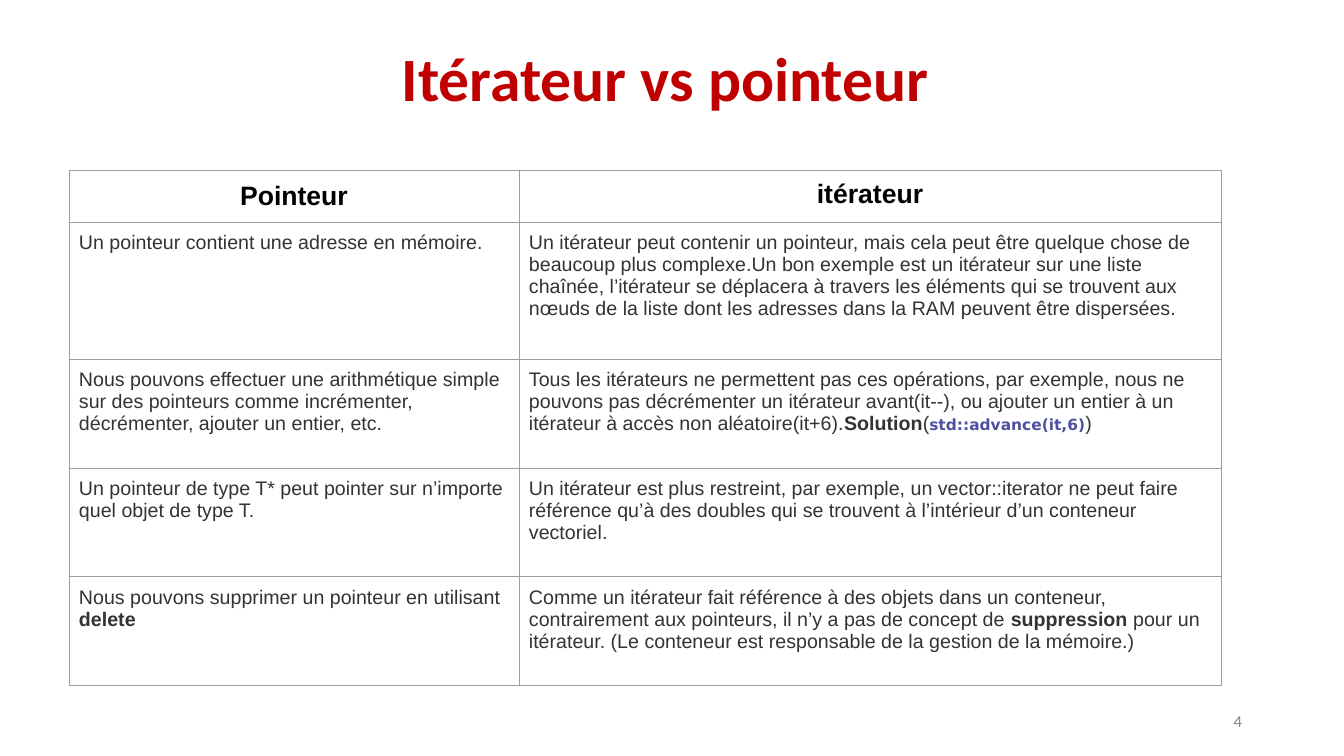
"""Build the slide that compares pointers and iterators in a two-column table."""
from lxml.etree import SubElement
from pptx import Presentation
from pptx.dml.color import RGBColor
from pptx.enum.text import MSO_ANCHOR, PP_ALIGN
from pptx.oxml.ns import qn
from pptx.util import Emu, Pt

RED = RGBColor(0xC0, 0x00, 0x00)
BLACK = RGBColor(0x00, 0x00, 0x00)
DARK = RGBColor(0x33, 0x33, 0x33)
GRAY = RGBColor(0x88, 0x88, 0x88)
BORDER = RGBColor(0x9E, 0x9E, 0x9E)
VIOLET = RGBColor(0x50, 0x50, 0xA0)

STYLES = {
    "title": ("Calibri", 44, RED, True),
    "number": ("Calibri", 12, GRAY, False),
    "header": ("Arial", 19, BLACK, True),
    "body": ("Arial", 14, DARK, False),
    "strong": ("Arial", 14, DARK, True),
    "code": ("DejaVu Sans", 11, VIOLET, True),
}

TITLE = [("Itérateur vs pointeur", "title")]
SLIDE_NUMBER = [("4", "number")]
ROWS = [
    ([("Pointeur", "header")], [("itérateur", "header")]),
    (
        [("Un pointeur contient une adresse en mémoire.", "body")],
        [("Un itérateur peut contenir un pointeur, mais cela peut être quelque chose de "
          "beaucoup plus complexe.Un bon exemple est un itérateur sur une liste chaînée, "
          "l’itérateur se déplacera à travers les éléments qui se trouvent aux nœuds de la "
          "liste dont les adresses dans la RAM peuvent être dispersées.", "body")],
    ),
    (
        [("Nous pouvons effectuer une arithmétique simple sur des pointeurs comme "
          "incrémenter, décrémenter, ajouter un entier, etc.", "body")],
        [("Tous les itérateurs ne permettent pas ces opérations, par exemple, nous ne "
          "pouvons pas décrémenter un itérateur avant(it--), ou ajouter un entier à un "
          "itérateur à accès non aléatoire(it+6).", "body"),
         ("Solution", "strong"), ("(", "body"), ("std::advance(it,6)", "code"), (")", "body")],
    ),
    (
        [("Un pointeur de type T* peut pointer sur n’importe quel objet de type T.", "body")],
        [("Un itérateur est plus restreint, par exemple, un vector::iterator ne peut faire "
          "référence qu’à des doubles qui se trouvent à l’intérieur d’un conteneur "
          "vectoriel.", "body")],
    ),
    (
        [("Nous pouvons supprimer un pointeur en utilisant ", "body"), ("delete", "strong")],
        [("Comme un itérateur fait référence à des objets dans un conteneur, contrairement "
          "aux pointeurs, il n’y a pas de concept de ", "body"),
         ("suppression", "strong"),
         (" pour un itérateur. (Le conteneur est responsable de la gestion de la "
          "mémoire.)", "body")],
    ),
]

SLIDE_SIZE = (1344, 756)
TITLE_BOX = (86, 9, 1159, 146)
NUMBER_BOX = (950, 701, 302, 40)
TABLE_LEFT, TABLE_TOP = 69, 170
COLUMN_WIDTHS = [450, 702]
ROW_HEIGHTS = [52, 137, 109, 109, 109]
PADDING = 10


def px(length):
    """Turn pixels into EMU."""
    return Emu(round(length * 914400 / 100.8))


def write(paragraph, pieces, alignment):
    """Fill a paragraph with styled runs."""
    paragraph.alignment = alignment
    for text, style in pieces:
        run = paragraph.add_run()
        run.text = text
        font = run.font
        font.name, size, font.color.rgb, font.bold = STYLES[style]
        font.size = Pt(size)


def add_text(slide, box, pieces, alignment):
    """Add a wrapped, vertically centred text box and return its paragraph."""
    text_frame = slide.shapes.add_textbox(*map(px, box)).text_frame
    text_frame.word_wrap = True
    text_frame.vertical_anchor = MSO_ANCHOR.MIDDLE
    paragraph = text_frame.paragraphs[0]
    write(paragraph, pieces, alignment)
    return paragraph


def add_borders(cell):
    """Draw a thin line on the four sides of a cell."""
    properties = cell._tc.get_or_add_tcPr()
    for side in ("a:lnL", "a:lnR", "a:lnT", "a:lnB"):
        line = SubElement(properties, qn(side), w=str(Pt(0.75)))
        fill = SubElement(line, qn("a:solidFill"))
        SubElement(fill, qn("a:srgbClr"), val=str(BORDER))


def add_comparison(slide):
    """Add the comparison table."""
    table = slide.shapes.add_table(
        len(ROWS), len(COLUMN_WIDTHS), px(TABLE_LEFT), px(TABLE_TOP),
        px(sum(COLUMN_WIDTHS)), px(sum(ROW_HEIGHTS))).table
    table.first_row = table.horz_banding = False
    for column, width in zip(table.columns, COLUMN_WIDTHS):
        column.width = px(width)
    for row, height, contents in zip(table.rows, ROW_HEIGHTS, ROWS):
        row.height = px(height)
        for cell, pieces in zip(row.cells, contents):
            cell.margin_left = cell.margin_right = px(PADDING)
            cell.margin_top = cell.margin_bottom = px(PADDING)
            add_borders(cell)
            cell.fill.background()
            is_header = pieces[0][1] == "header"
            write(cell.text_frame.paragraphs[0], pieces,
                  PP_ALIGN.CENTER if is_header else PP_ALIGN.LEFT)
    table.cell(0, 0).vertical_anchor = MSO_ANCHOR.MIDDLE


def main():
    """Create and save the presentation."""
    presentation = Presentation()
    presentation.slide_width, presentation.slide_height = map(px, SLIDE_SIZE)
    slide = presentation.slides.add_slide(presentation.slide_layouts[6])
    add_text(slide, TITLE_BOX, TITLE, PP_ALIGN.CENTER).line_spacing = 0.9
    add_text(slide, NUMBER_BOX, SLIDE_NUMBER, PP_ALIGN.RIGHT)
    add_comparison(slide)
    presentation.save("out.pptx")


if __name__ == "__main__":
    main()
